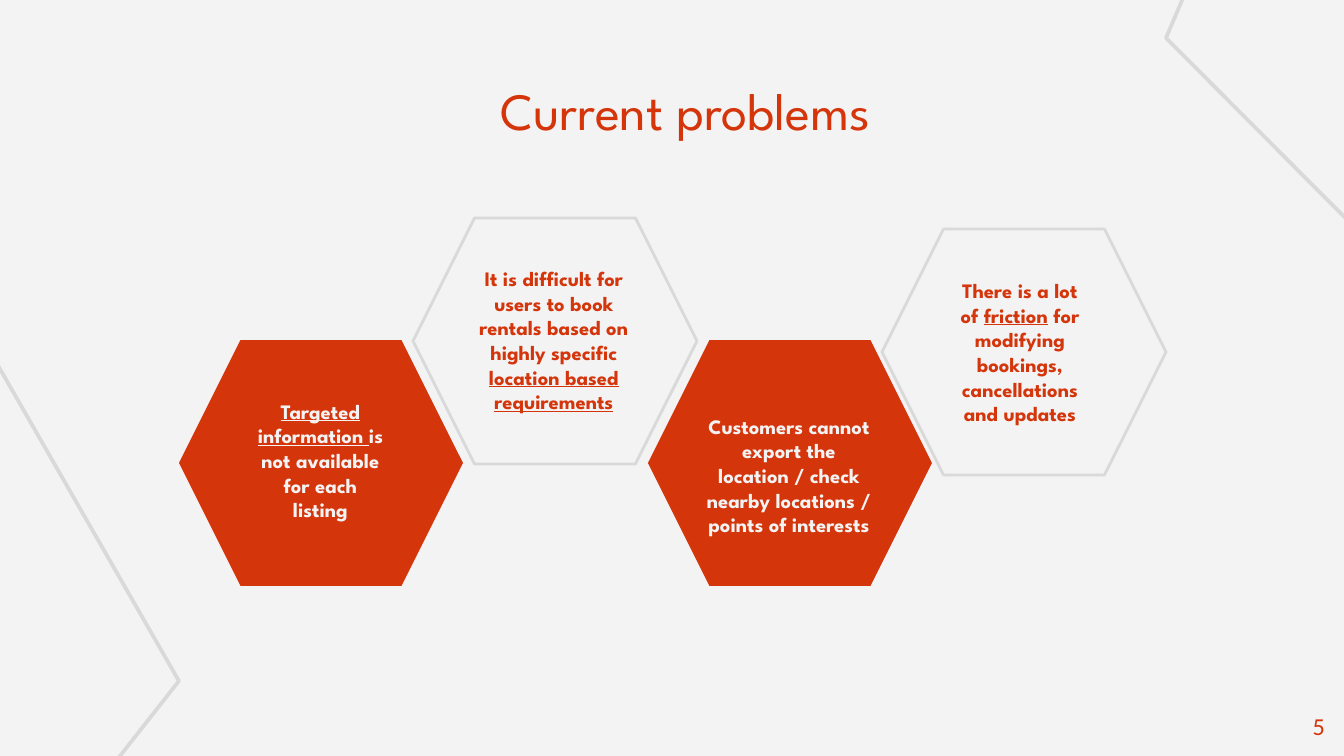
import pptx
import pptx.util
import pptx.dml.color
import pptx.enum.shapes
import pptx.enum.text

RED, PALE, GREY = "D4350B", "F3F3F3", "D9D9D9"
FACE = "League Spartan"
ANCHOR = pptx.enum.text.MSO_ANCHOR
ALIGN = pptx.enum.text.PP_ALIGN


def px(n):
    return pptx.util.Emu(round(n * 914400 / 134.4))


def rgb(code):
    return pptx.dml.color.RGBColor.from_string(code)


class Deck:
    """Holds the style and the current slide, and draws each kind of element."""

    def __init__(self, wide, high):
        self.file = pptx.Presentation()
        self.file.slide_width, self.file.slide_height = px(wide), px(high)
        self.slide = self.file.slides.add_slide(self.file.slide_layouts[5])
        fill = self.slide.background.fill
        fill.solid()
        fill.fore_color.rgb = rgb(PALE)

    def style(self, shape, fill, line, width):
        shape.shadow.inherit = False
        if fill:
            shape.fill.solid()
            shape.fill.fore_color.rgb = rgb(fill)
        else:
            shape.fill.background()
        if line:
            shape.line.color.rgb = rgb(line)
            shape.line.width = pptx.util.Pt(width)
        else:
            shape.line.fill.background()

    def wedge(self, points):
        spots = [(px(x), px(y)) for x, y in points]
        pen = self.slide.shapes.build_freeform(*spots[0], scale=1)
        pen.add_line_segments(spots[1:], close=False)
        self.style(pen.convert_to_shape(), None, GREY, 2)

    def hexagon(self, x, y, fill, line):
        kind = pptx.enum.shapes.MSO_SHAPE.HEXAGON
        shape = self.slide.shapes.add_shape(kind, px(x), px(y), px(284), px(246))
        shape.adjustments[0] = 0.25
        self.style(shape, fill, line, 1.5)

    def words(self, shape, runs, size, color, face=FACE, bold=False,
              align=ALIGN.CENTER, anchor=ANCHOR.MIDDLE, pad=13):
        frame = shape.text_frame
        frame.word_wrap = True
        frame.auto_size = pptx.enum.text.MSO_AUTO_SIZE.NONE
        frame.vertical_anchor = anchor
        frame.margin_left = frame.margin_right = px(pad)
        frame.margin_top = frame.margin_bottom = px(13)
        para = frame.paragraphs[0]
        para.alignment = align
        for text, under in runs:
            run = para.add_run()
            run.text = text
            font = run.font
            font.name, font.size = face, pptx.util.Pt(size)
            font.bold, font.underline = bold, under
            font.color.rgb = rgb(color)

    def title(self, text, x, y, w, h):
        shape = self.slide.shapes.title
        shape.left, shape.top, shape.width, shape.height = map(px, (x, y, w, h))
        self.words(shape, [(text, False)], 28, RED)

    def text(self, box, runs, size, color, **look):
        shape = self.slide.shapes.add_textbox(*map(px, box))
        self.words(shape, runs, size, color, **look)


def main():
    deck = Deck(1344, 756)
    deck.wedge([(-24, 327), (179, 681), (51, 844)])
    deck.wedge([(1454, 327), (1166, 38), (1247, -152)])
    deck.title("Current problems", 412, 59, 547, 101)

    cells = [
        (340, True, (244, 402, 153, 133), 13,
         [("Targeted information ", True),
          ("is not available for each listing", False)]),
        (218, False, (454, 255, 200, 172), 13,
         [("It is difficult for users to book rentals based on highly specific ", False),
          ("location based requirements", True)]),
        (340, True, (684, 378, 210, 172), 21,
         [("Customers cannot export the location / check nearby locations / "
           "points of interests", False)]),
        (229, False, (938, 267, 164, 172), 13,
         [("There is a lot of ", False), ("friction", True),
          (" for modifying bookings, cancellations and updates", False)]),
    ]
    for i, (y, solid, box, pad, runs) in enumerate(cells):
        deck.hexagon(179 + round(234.4 * i), y,
                     RED if solid else None, None if solid else GREY)
    for y, solid, box, pad, runs in cells:
        deck.text(box, runs, 11, PALE if solid else RED, bold=True,
                  anchor=ANCHOR.BOTTOM, pad=pad)

    deck.text((1258, 698, 80, 58), [("5", False)], 13, RED, face="Calibri",
              align=ALIGN.RIGHT, anchor=ANCHOR.TOP)
    deck.file.save("out.pptx")


if __name__ == "__main__":
    main()
